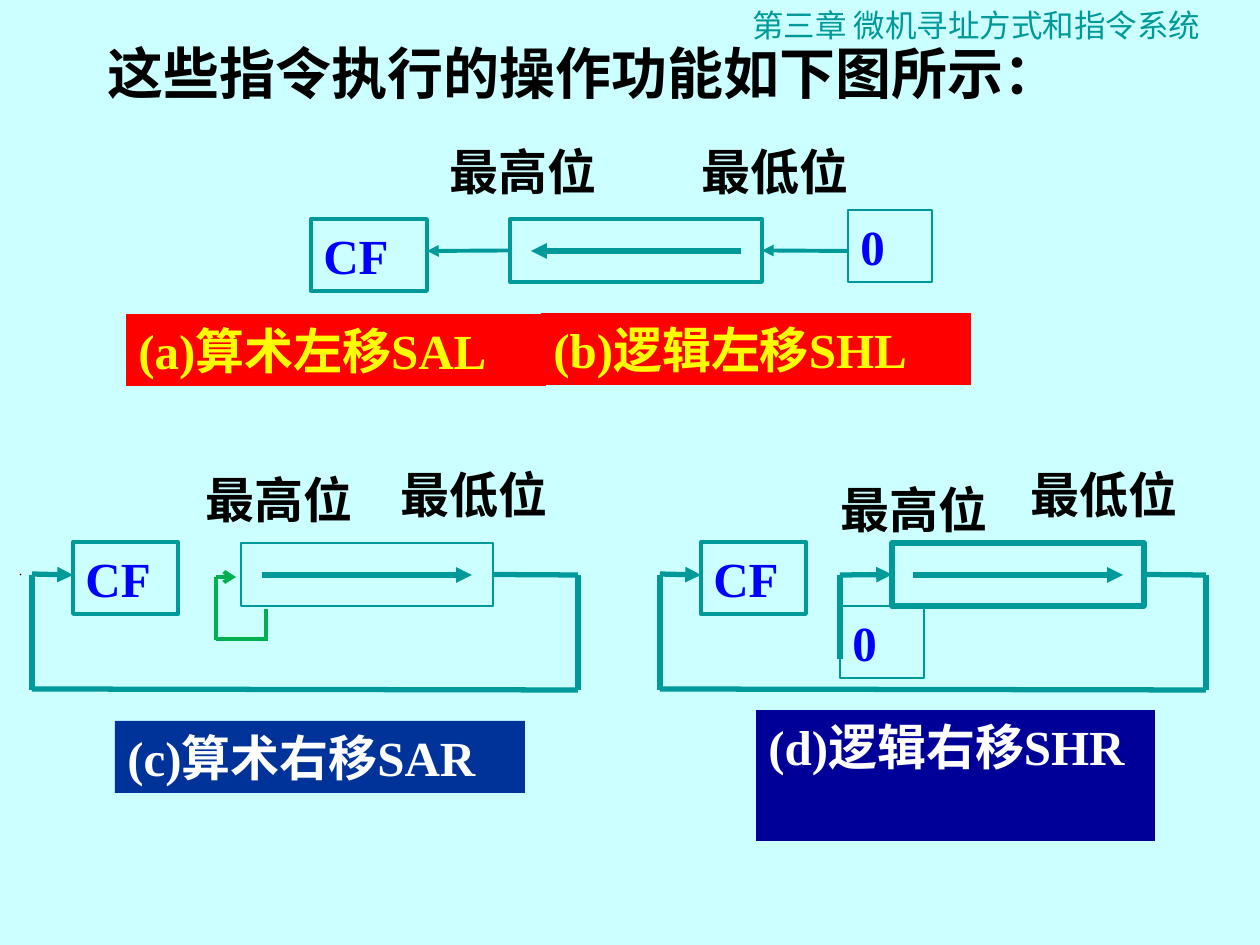
from dataclasses import dataclass
from typing import Optional

from lxml import etree
from pptx import Presentation, util as u
from pptx.dml.color import RGBColor
from pptx.enum import shapes, text
from pptx.oxml.ns import qn

TEAL, GREEN, BLUE, BLACK = "009999", "00B050", "0000FF", "000000"
RED, GOLD, WHITE, SKY = "FF0000", "FFFF00", "FFFFFF", "CCFFFF"
SERIF = "Times New Roman"


@dataclass
class Box:
    x: int
    y: int
    w: int
    h: int
    words: str = ""
    ink: str = BLACK
    fill: Optional[str] = None
    line: float = 0
    size: int = 28
    font: str = SERIF
    bold: bool = True


@dataclass
class Wire:
    x1: int
    y1: int
    x2: int
    y2: int
    wide: float = 3
    tip: str = ""
    ink: str = TEAL


def px(n: int) -> int:
    return u.Inches(n / 126)


def color(code: str) -> RGBColor:
    return RGBColor.from_string(code)


def write(shape, box: Box) -> None:
    frame = shape.text_frame
    frame.word_wrap = True
    frame.auto_size = text.MSO_AUTO_SIZE.NONE
    frame.vertical_anchor = text.MSO_ANCHOR.TOP
    para = frame.paragraphs[0]
    para.alignment = text.PP_ALIGN.LEFT
    para.space_before = u.Pt(0)
    run = para.add_run()
    run.text = box.words
    run.font.name, run.font.size = box.font, u.Pt(box.size)
    run.font.bold = box.bold
    run.font.color.rgb = color(box.ink)


def draw_box(slide, box: Box):
    place = [px(n) for n in (box.x, box.y, box.w, box.h)]
    if not (box.fill or box.line):
        shape = slide.shapes.add_textbox(*place)
    else:
        shape = slide.shapes.add_shape(shapes.MSO_SHAPE.RECTANGLE, *place)
        shape.shadow.inherit = False
        if box.fill:
            shape.fill.solid()
            shape.fill.fore_color.rgb = color(box.fill)
        else:
            shape.fill.background()
        if box.line:
            shape.line.color.rgb = color(TEAL)
            shape.line.width = u.Pt(box.line)
        else:
            shape.line.fill.background()
    if box.words:
        write(shape, box)
    return shape


def draw_wire(slide, wire: Wire):
    ends = [px(n) for n in (wire.x1, wire.y1, wire.x2, wire.y2)]
    link = slide.shapes.add_connector(shapes.MSO_CONNECTOR.STRAIGHT, *ends)
    link.line.color.rgb = color(wire.ink)
    link.line.width = u.Pt(wire.wide)
    if wire.tip:
        etree.SubElement(link.line._get_or_add_ln(), qn("a:tailEnd"), type=wire.tip)
    etree.SubElement(link._element.spPr, qn("a:effectLst"))
    return link


def draw_bits(slide, high: tuple, low: tuple) -> None:
    for words, (x, y) in (("最高位", high), ("最低位", low)):
        draw_box(slide, Box(x, y, 189, 72, words))


def draw_reg(slide, x: int, y: int, line: float, left: bool = False):
    """Register with its shift arrow inside."""
    reg = draw_box(slide, Box(x, y, 252, 63, line=line))
    ends = (x + 231, x + 21) if left else (x + 21, x + 231)
    draw_wire(slide, Wire(ends[0], y + 32, ends[1], y + 32, tip="triangle"))
    return reg


def draw_loop(slide, reg, x: int) -> None:
    """Path from the register's right side around to CF."""
    far = x + 546
    out = draw_wire(slide, Wire(far, 575, far - 84, 575))
    out.end_connect(reg, 3)
    draw_box(slide, Box(x + 41, 542, 105, 72, "CF", BLUE, line=2.25))
    draw_wire(slide, Wire(far, 575, far, 690))
    draw_wire(slide, Wire(far, 690, x, 689))
    draw_wire(slide, Wire(x, 690, x, 575))
    draw_wire(slide, Wire(x, 574, x + 41, 575, tip="triangle"))


def main() -> None:
    deck = Presentation()
    deck.slide_width, deck.slide_height = u.Inches(10), u.Inches(7.5)
    slide = deck.slides.add_slide(deck.slide_layouts[5])
    slide.background.fill.solid()
    slide.background.fill.fore_color.rgb = color(SKY)

    # Chapter header and title
    draw_box(slide, Box(740, 0, 496, 50, "第三章 微机寻址方式和指令系统",
                        TEAL, size=18, font="Arial", bold=False))
    head = slide.shapes.title
    head.left, head.top, head.width, head.height = px(95), px(32), px(1071), px(116)
    write(head, Box(95, 32, 1071, 116, "这些指令执行的操作功能如下图所示：",
                    size=32, font="Noto Sans CJK SC"))

    # Left shifts (a) and (b)
    reg = draw_reg(slide, 510, 219, 2.25, left=True)
    draw_bits(slide, (437, 135), (689, 135))
    into = draw_wire(slide, Wire(847, 251, 762, 251, 2.25, "triangle"))
    into.end_connect(reg, 3)
    out = draw_wire(slide, Wire(510, 251, 427, 251, 2.25, "triangle"))
    out.begin_connect(reg, 1)
    draw_box(slide, Box(311, 219, 116, 72, "CF", BLUE, line=2.25))
    draw_box(slide, Box(848, 210, 84, 72, "0", BLUE, line=0.75))

    # Arithmetic right shift (c), with the sign bit fed back
    reg = draw_reg(slide, 241, 543, 0.75)
    draw_bits(slide, (193, 463), (388, 458))
    draw_loop(slide, reg, 32)
    draw_wire(slide, Wire(20, 575, 21, 574, 0.75, ink=BLACK))
    for wire in (Wire(266, 609, 266, 641), Wire(266, 639, 216, 639),
                 Wire(216, 640, 216, 577), Wire(216, 577, 236, 577, tip="arrow")):
        wire.wide, wire.ink = 2.25, GREEN
        draw_wire(slide, wire)

    # Logical right shift (d), with zero fed in
    reg = draw_reg(slide, 892, 543, 3)
    draw_bits(slide, (828, 473), (1018, 458))
    into = draw_wire(slide, Wire(840, 575, 892, 575, tip="triangle"))
    into.end_connect(reg, 1)
    draw_wire(slide, Wire(840, 575, 840, 659))
    draw_loop(slide, reg, 660)
    draw_box(slide, Box(840, 606, 84, 72, "0", BLUE, line=0.75))

    # Captions
    for box in (Box(126, 314, 420, 72, "(a)算术左移SAL", GOLD, RED),
                Box(541, 313, 430, 72, "(b)逻辑左移SHL", GOLD, RED),
                Box(115, 721, 410, 72, "(c)算术右移SAR", WHITE, "003399"),
                Box(756, 710, 399, 131, "(d)逻辑右移SHR", WHITE, "000099")):
        draw_box(slide, box)

    deck.save("out.pptx")


if __name__ == "__main__":
    main()
